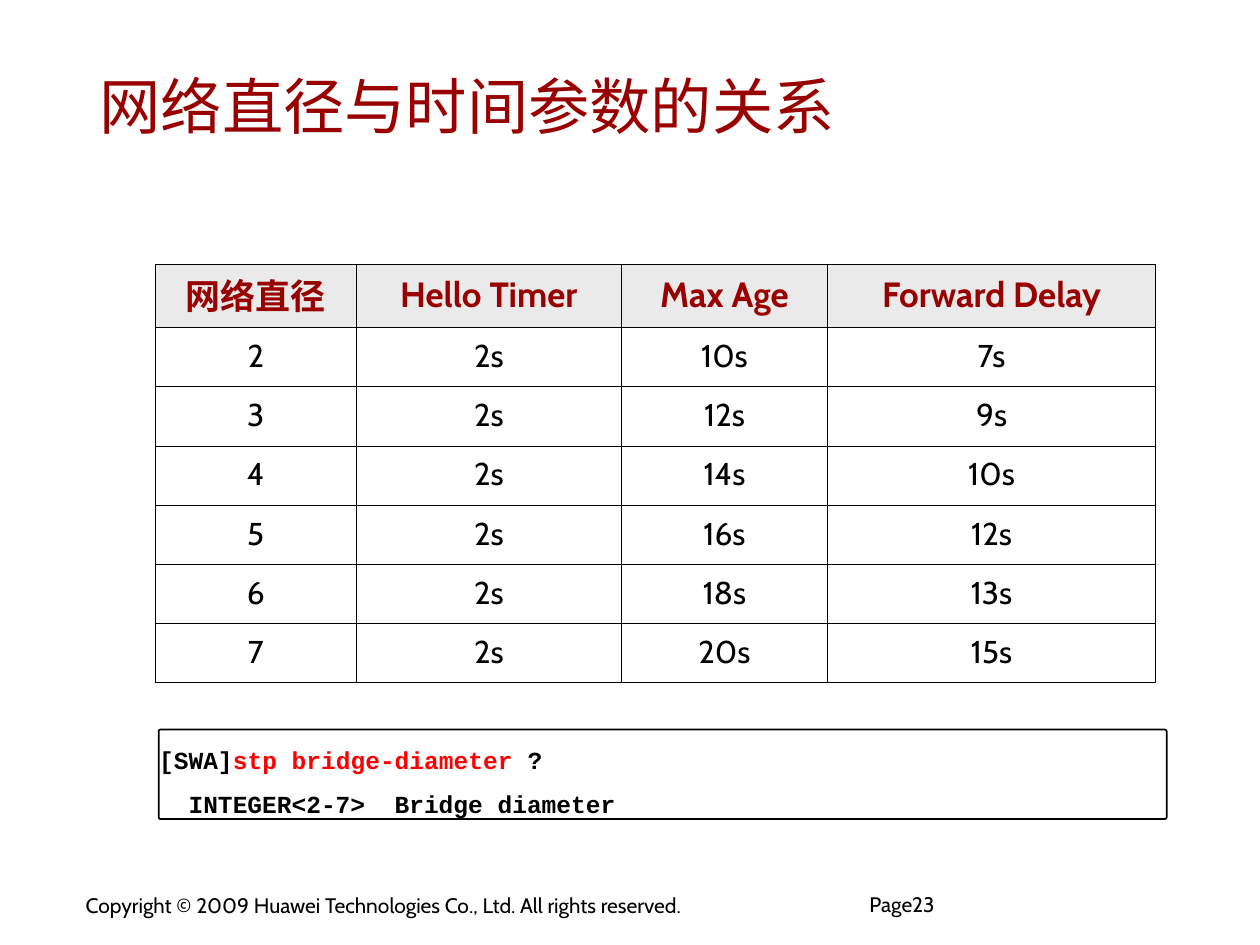
import dataclasses

import lxml.etree
import pptx
import pptx.dml.color
import pptx.enum.shapes
import pptx.enum.text
import pptx.oxml.ns
import pptx.util

Inches = pptx.util.Inches
Align = pptx.enum.text.PP_ALIGN
Anchor = pptx.enum.text.MSO_ANCHOR


@dataclasses.dataclass(frozen=True)
class Theme:
    font: str = "Cabin"
    mono: str = "Courier New"
    ink: str = "000000"
    accent: str = "990000"
    alert: str = "FF0000"
    shade: str = "EAEAEA"
    title: int = 35
    head: int = 20
    body: int = 18
    code: int = 14
    small: int = 12
    rule: float = 0.45


def color(code):
    return pptx.dml.color.RGBColor.from_string(code)


def write(frame, text, *, size, ink, font, bold=False, align=Align.LEFT,
          space=1.0, anchor=Anchor.TOP, inset=(0.09, 0.04), wrap=True):
    """Fill a frame; each line is a string or a list of (words, colour) runs."""
    frame.word_wrap = wrap
    frame.vertical_anchor = anchor
    frame.margin_left = frame.margin_right = Inches(inset[0])
    frame.margin_top = frame.margin_bottom = Inches(inset[1])
    lines = [text] if isinstance(text, str) else text
    for i, line in enumerate(lines):
        para = frame.paragraphs[0] if i == 0 else frame.add_paragraph()
        para.alignment = align
        para.line_spacing = space
        para.space_before = para.space_after = pptx.util.Pt(0)
        for words, tint in [(line, ink)] if isinstance(line, str) else line:
            run = para.add_run()
            run.text = words
            run.font.size = pptx.util.Pt(size)
            run.font.name = font
            run.font.bold = bold
            run.font.color.rgb = color(tint)


def border(cell, ink, width):
    props = cell._tc.get_or_add_tcPr()
    for side in ("a:lnL", "a:lnR", "a:lnT", "a:lnB"):
        line = lxml.etree.SubElement(props, pptx.oxml.ns.qn(side),
                                     w=str(pptx.util.Pt(width)))
        fill = lxml.etree.SubElement(line, pptx.oxml.ns.qn("a:solidFill"))
        lxml.etree.SubElement(fill, pptx.oxml.ns.qn("a:srgbClr"), val=ink)


class Deck:
    def __init__(self, theme):
        self.theme = theme
        self.file = pptx.Presentation()
        self.file.slide_width = Inches(10)
        self.file.slide_height = Inches(7.5)
        self.slide = self.file.slides.add_slide(self.file.slide_layouts[5])

    def title(self, text, box):
        shape = self.slide.shapes.title
        shape.left, shape.top, shape.width, shape.height = map(Inches, box)
        write(shape.text_frame, text, size=self.theme.title,
              ink=self.theme.accent, font=self.theme.font, anchor=Anchor.MIDDLE)

    def label(self, text, box, **form):
        shape = self.slide.shapes.add_textbox(*map(Inches, box))
        write(shape.text_frame, text, size=self.theme.small,
              ink=self.theme.ink, font=self.theme.font, **form)

    def table(self, rows, box, widths, heights):
        theme = self.theme
        table = self.slide.shapes.add_table(
            len(rows), len(widths), *map(Inches, box)).table
        table.horz_banding = False
        for col, width in zip(table.columns, widths):
            col.width = Inches(width)
        for r, (row, height) in enumerate(zip(rows, heights)):
            table.rows[r].height = Inches(height)
            head = r == 0
            for c, text in enumerate(row):
                cell = table.cell(r, c)
                border(cell, theme.ink, theme.rule)
                if head:
                    cell.fill.solid()
                    cell.fill.fore_color.rgb = color(theme.shade)
                else:
                    cell.fill.background()
                write(cell.text_frame, text, font=theme.font, bold=head,
                      size=theme.head if head else theme.body,
                      ink=theme.accent if head else theme.ink,
                      align=Align.CENTER, space=0.9)
                cell.vertical_anchor = Anchor.MIDDLE
                cell.margin_left = cell.margin_right = Inches(0.09)
                cell.margin_top = cell.margin_bottom = Inches(0.05)

    def code(self, lines, box):
        shape = self.slide.shapes.add_shape(
            pptx.enum.shapes.MSO_SHAPE.ROUNDED_RECTANGLE, *map(Inches, box))
        shape.adjustments[0] = 0.02
        shape.shadow.inherit = False
        shape.fill.background()
        shape.line.color.rgb = color(self.theme.ink)
        shape.line.width = pptx.util.Pt(1)
        write(shape.text_frame, lines, size=self.theme.code,
              ink=self.theme.ink, font=self.theme.mono, bold=True,
              space=1.5, inset=(0, 0))


def main():
    theme = Theme()
    deck = Deck(theme)
    deck.label("Copyright © 2009 Huawei Technologies Co., Ltd. All rights reserved.",
               (0.59, 7.04, 5.5, 0.29), wrap=False)
    deck.label("Page23", (6.9, 7.11, 1.66, 0.36), space=0.85, inset=(0, 0))
    deck.title("网络直径与时间参数的关系", (0.7, 0.36, 8.45, 0.95))

    times = [(2, 10, 7), (3, 12, 9), (4, 14, 10),
             (5, 16, 12), (6, 18, 13), (7, 20, 15)]
    rows = [("网络直径", "Hello Timer", "Max Age", "Forward Delay")]
    rows += [(str(span), "2s", f"{age}s", f"{delay}s")
             for span, age, delay in times]
    deck.table(rows, (1.23, 2.1, 7.95, 3.31), (1.6, 2.1, 1.64, 2.6),
               [0.5] + [0.47] * len(times))

    deck.code([[("[SWA]", theme.ink), ("stp bridge-diameter", theme.alert),
                (" ?", theme.ink)],
               "  INTEGER<2-7>  Bridge diameter"], (1.26, 5.79, 8, 0.71))
    deck.file.save("out.pptx")


if __name__ == "__main__":
    main()
